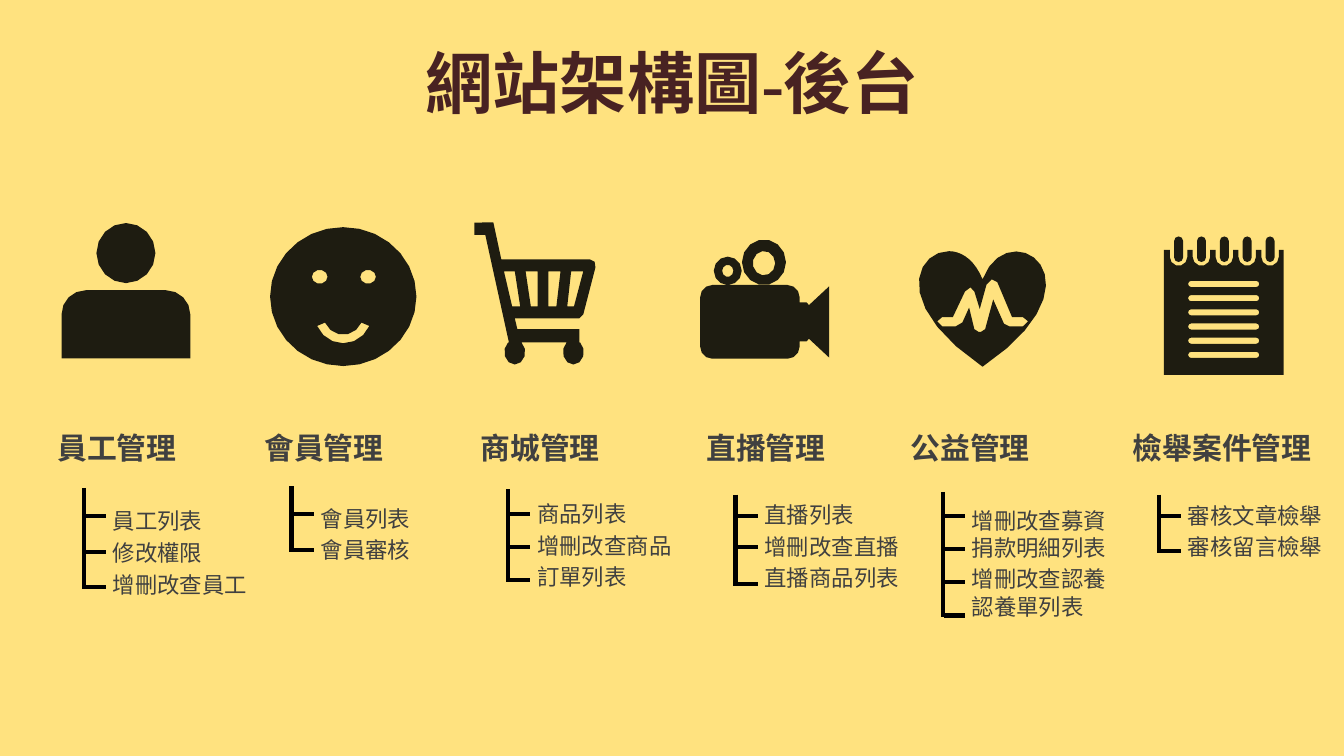
import math
from dataclasses import dataclass
from typing import Callable

import pptx
import pptx.dml.color
import pptx.enum.shapes
import pptx.enum.text
import pptx.oxml
import pptx.oxml.ns
import pptx.util

Pt = pptx.util.Pt
RGBColor = pptx.dml.color.RGBColor
PP_ALIGN = pptx.enum.text.PP_ALIGN

CREAM = RGBColor(0xFF, 0xE2, 0x7F)
MAROON = RGBColor(0x48, 0x22, 0x22)
GREY = RGBColor(0x40, 0x40, 0x40)
BLACK = RGBColor(0, 0, 0)
INK = RGBColor(0x1E, 0x1C, 0x11)
CJK_FONT = "Noto Sans CJK SC"

HEADING_MIDDLE = 240
BRANCH_LENGTH = 11.5
LIST_OFFSET = 8.5


# Outlines: each returns a list of (x, y) in points
def arc(x, y, radius_x, radius_y, start=0, end=360):
    sweep = end - start
    steps = max(1, round(abs(sweep) / 360 * (8 + 0.5 * radius_x)))
    count = steps if abs(sweep) == 360 else steps + 1
    angles = [math.radians(start + sweep * i / steps) for i in range(count)]
    return [(x + radius_x * math.cos(a), y + radius_y * math.sin(a)) for a in angles]


def rounded(x, y, width, height, radius):
    right, bottom = x + width - radius, y + height - radius
    corners = [(right, bottom), (x + radius, bottom), (x + radius, y + radius), (right, y + radius)]
    return [point for i, (cx, cy) in enumerate(corners)
            for point in arc(cx, cy, radius, radius, 90 * i, 90 * i + 90)]


def bezier(*controls, steps=9):
    weights = (1, 3, 3, 1)
    return [tuple(sum(w * t ** k * (1 - t) ** (3 - k) * p[axis]
                      for k, (w, p) in enumerate(zip(weights, controls))) for axis in (0, 1))
            for t in (i / steps for i in range(steps))]


# Icons: inner outlines become holes
def person():
    body = arc(13, 49, 13, 13, 180, 270) + arc(56, 49, 13, 13, 270, 360)
    return [body + [(69, 72.5), (0, 72.5)], arc(34.5, 16.1, 15.8, 16.1)]


def face():
    smile = arc(39.2, 47, 15.2, 15.2, 23, 157) + arc(39.2, 47, 10.6, 10.6, 157, 23)
    eyes = [arc(x, 26.6, 4.2, 3.7) for x in (26.6, 52.5)]
    return [arc(39.2, 37.2, 39.2, 37.2), smile, *eyes]


def cart():
    wheels = [point for x in (21.6, 53) for point in arc(x, 69.8, 5.6, 6.7, 230, -50)]
    frame = [(0, 0.5), (0, 7), (5.8, 7), (18.5, 64.8), *wheels, (56.2, 64.8), (56.2, 57.6),
             (23, 57.6), (21.6, 51.8), (56.2, 51.8), (58.3, 49.7), (64.8, 24.5),
             (64.4, 21.5), (61.9, 20.2), (14.4, 20.2), (10.1, 0.3)]
    slots = [[(a, 26.6), (b, 26.6), (c, 45.4), (d, 45.4)]
             for a, b, c, d in ((15.8, 21.6, 24.5, 20.2), (27.4, 33.8, 33.8, 30.2),
                                (39.6, 46.1, 43.9, 39.6), (51.8, 58.3, 53.3, 49.7))]
    return [frame, *slots]


def camera():
    lens = [(53.3, 33.8), (57, 33.8), (58.3, 35.3), (69.1, 25.2),
            (69.1, 63.4), (58.3, 53.3), (57, 54.7), (53.3, 54.7)]
    return [rounded(0, 24.5, 53.3, 39.5, 6.5), lens,
            arc(34.2, 12.3, 11.8, 12.2), arc(34.2, 12.8, 6, 6.5),
            arc(14.8, 16.9, 7.5, 7.6), arc(14.8, 16.9, 3, 3.2)]


def heart():
    outline = (bezier((16.6, 0), (23, 0), (30.2, 4.3), (34.6, 15.1))
               + bezier((34.6, 15.1), (48.2, -21.6), (103.7, 15.1), (34.6, 61.9), steps=14)
               + bezier((34.6, 61.9), (-15.1, 28.1), (-0.7, 0), (16.6, 0)))
    pulse = [(13, 35.3), (18.7, 35.3), (25.2, 21.6), (28.1, 19.4), (30.2, 21.6), (33.1, 31),
             (36.7, 18), (39.6, 15.1), (42.5, 16.6), (50.4, 35.3), (56.2, 35.3), (59, 37.6),
             (56.2, 40.3), (49, 40.3), (46.1, 38.9), (40.3, 25.9), (36, 41.8), (33.8, 43.2),
             (32.4, 43.2), (30.2, 41.8), (27.4, 30.2), (23.8, 38.2), (20.2, 40.3),
             (13, 40.3), (10.3, 37.6)]
    return [outline, pulse]


def notepad():
    centers = [7.9 + 12.25 * i for i in range(5)]
    notches = [point for x in centers
               for point in [(x - 4.7, 7.2), *arc(x, 11, 4.7, 4.7, 180, 0), (x + 4.7, 7.2)]]
    page = [(0, 7.2), *notches, (64.1, 7.2), (64.1, 74.2), (0, 74.2)]
    rings = [rounded(x - 2.4, 0, 4.8, 13.7, 2.4) for x in centers]
    rules = [rounded(13, 23.8 + 7.6 * i, 38.1, 3.3, 1.6) for i in range(6)]
    return [page, *rings, *rules]


def add_icon(slide, outlines, left, top):
    builder = None
    for outline in outlines:
        points = [(Pt(left + x), Pt(top + y)) for x, y in outline]
        if builder is None:
            builder = slide.shapes.build_freeform(*points[0])
        else:
            builder.move_to(*points[0])
        builder.add_line_segments(points[1:], close=True)
    shape = builder.convert_to_shape()
    shape.shadow.inherit = False
    shape.fill.solid()
    shape.fill.fore_color.rgb = INK
    shape.line.fill.background()


def write_text(shape, text, size, color=GREY, bold=False, align=PP_ALIGN.LEFT,
               font=CJK_FONT, line_spacing=None):
    frame = shape.text_frame
    frame.word_wrap = True
    frame.auto_size = pptx.enum.text.MSO_AUTO_SIZE.NONE
    frame.vertical_anchor = pptx.enum.text.MSO_ANCHOR.MIDDLE
    for i, line in enumerate(text.split("\n")):
        paragraph = frame.add_paragraph() if i else frame.paragraphs[0]
        paragraph.alignment = align
        paragraph.space_before = Pt(0.2 * size if i else 0)
        if line_spacing:
            paragraph.line_spacing = Pt(line_spacing)
        run = paragraph.add_run()
        run.text = line
        run.font.size, run.font.bold, run.font.name = Pt(size), bold, font
        run.font.color.rgb = color
        east_asian = pptx.oxml.parse_xml(
            f'<a:ea {pptx.oxml.ns.nsdecls("a")} typeface="{CJK_FONT}"/>')
        run.font._element.append(east_asian)


def add_text(slide, text, left, middle, width, height, **text_format):
    box = slide.shapes.add_textbox(Pt(left), Pt(middle - height / 2), Pt(width), Pt(height))
    write_text(box, text, **text_format)


def add_line(slide, x1, y1, x2, y2):
    line = slide.shapes.add_connector(pptx.enum.shapes.MSO_CONNECTOR.STRAIGHT,
                                      Pt(x1), Pt(y1), Pt(x2), Pt(y2))
    line.line.color.rgb = BLACK
    line.line.width = Pt(2.25)
    line._element.spPr.append(
        pptx.oxml.parse_xml(f'<a:effectLst {pptx.oxml.ns.nsdecls("a")}/>'))


@dataclass
class Section:
    icon: Callable
    icon_left: float
    icon_top: float
    heading: str
    heading_center: float
    items: str
    items_middle: float
    trunk_left: float
    trunk_top: float
    branches: tuple


SECTIONS = [
    Section(person, 33, 119.5, "員工管理", 62.6, "員工列表\n修改權限\n增刪改查員工", 296,
            44.8, 261.4, (276.5, 295.9, 314.6)),
    Section(face, 144.7, 121.7, "會員管理", 173.5, "會員列表\n會員審核", 286,
            156.2, 260.6, (275.5, 294.6)),
    Section(cart, 254.2, 118.8, "商城管理", 289.4, "商品列表\n增刪改查商品\n訂單列表", 292,
            272.2, 262, (275.5, 293, 310.9)),
    Section(camera, 375.1, 128.2, "直播管理", 410.4, "直播列表\n增刪改查直播\n直播商品列表", 292.7,
            394, 265, (276.3, 293, 313)),
    Section(heart, 491.8, 134.6, "公益管理", 519.8, "增刪改查募資捐款明細列表\n增刪改查認養認養單列表", 301.7,
            505, 263.5, (276.3, 294, 311.8, 329.8)),
    Section(notepad, 623.5, 126.7, "檢舉案件管理", 654.8, "審核文章檢舉\n審核留言檢舉", 284.5,
            620.8, 265, (276.3, 295)),
]


def add_section(slide, section):
    add_icon(slide, section.icon(), section.icon_left, section.icon_top)
    add_text(slide, section.heading, section.heading_center - 57, HEADING_MIDDLE, 114, 52,
             size=16, bold=True, align=PP_ALIGN.CENTER)
    # Tree of branches beside the list
    left = section.trunk_left
    add_line(slide, left, section.trunk_top, left, section.branches[-1] + 1)
    for y in section.branches:
        add_line(slide, left + 0.5, y, left + 0.5 + BRANCH_LENGTH, y)
    add_text(slide, section.items, left + LIST_OFFSET, section.items_middle, 90, 80,
             size=12, line_spacing=14.5)


def add_title(slide, left, top, width, height):
    title = slide.shapes.title
    title.left, title.top, title.width, title.height = map(Pt, (left, top, width, height))
    write_text(title, "網站架構圖-後台", size=36, color=MAROON, bold=True,
               align=PP_ALIGN.CENTER, font="Times New Roman")


def main():
    presentation = pptx.Presentation()
    presentation.slide_width, presentation.slide_height = Pt(720), Pt(405)
    slide = presentation.slides.add_slide(presentation.slide_layouts[5])
    slide.background.fill.solid()
    slide.background.fill.fore_color.rgb = CREAM
    add_title(slide, 0, 21, 720, 45)
    for section in SECTIONS:
        add_section(slide, section)
    presentation.save("out.pptx")


if __name__ == "__main__":
    main()
